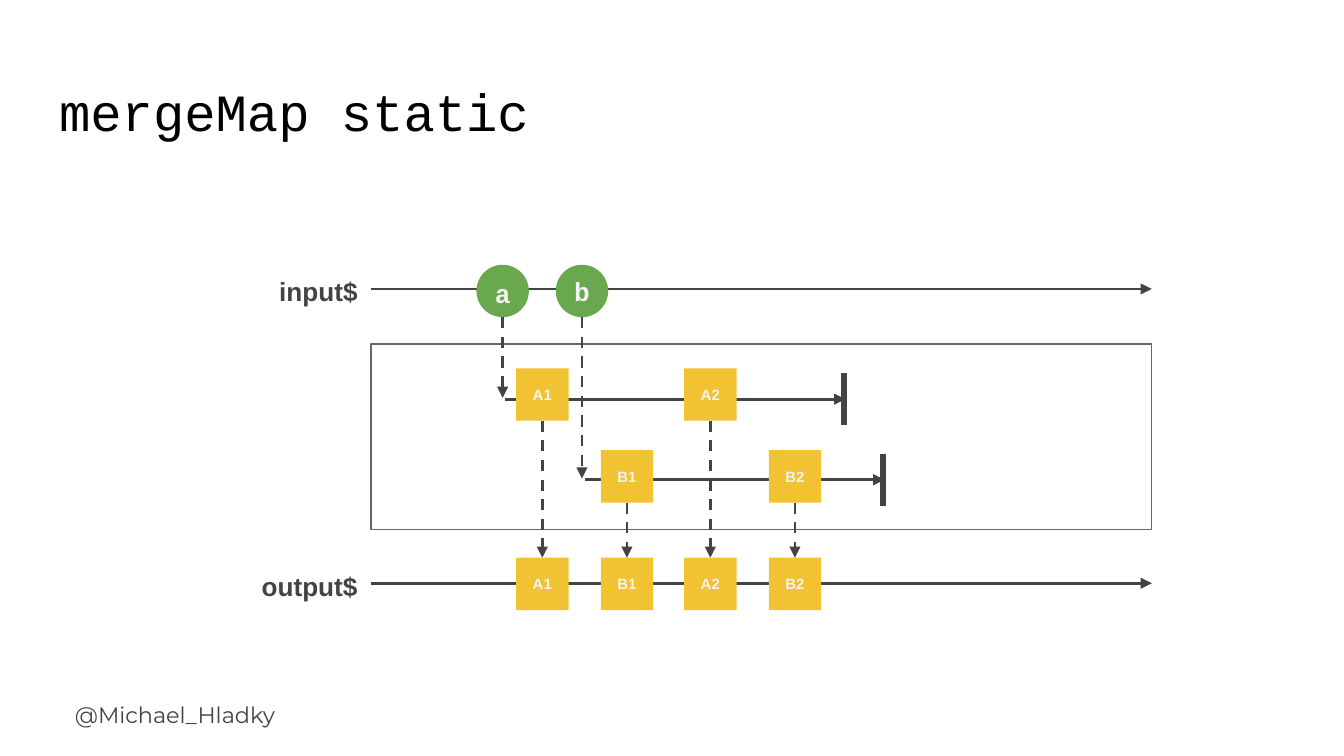
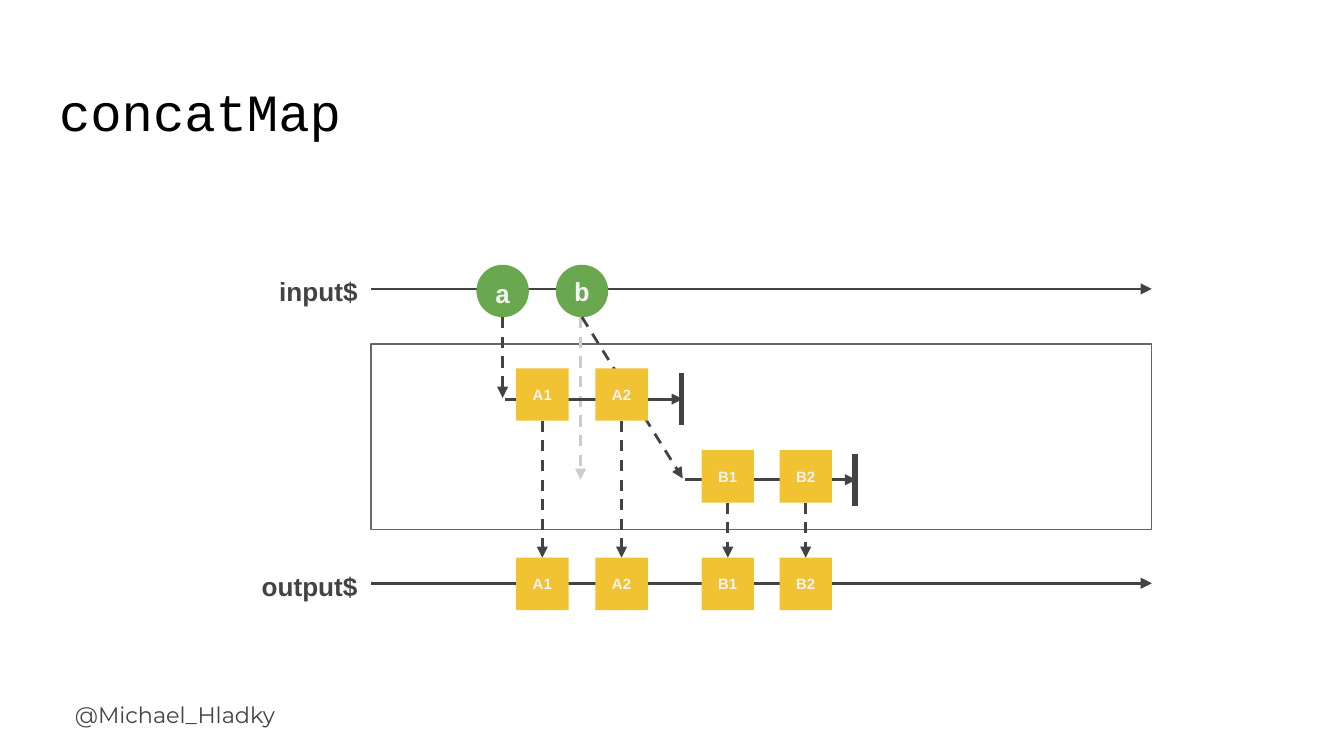
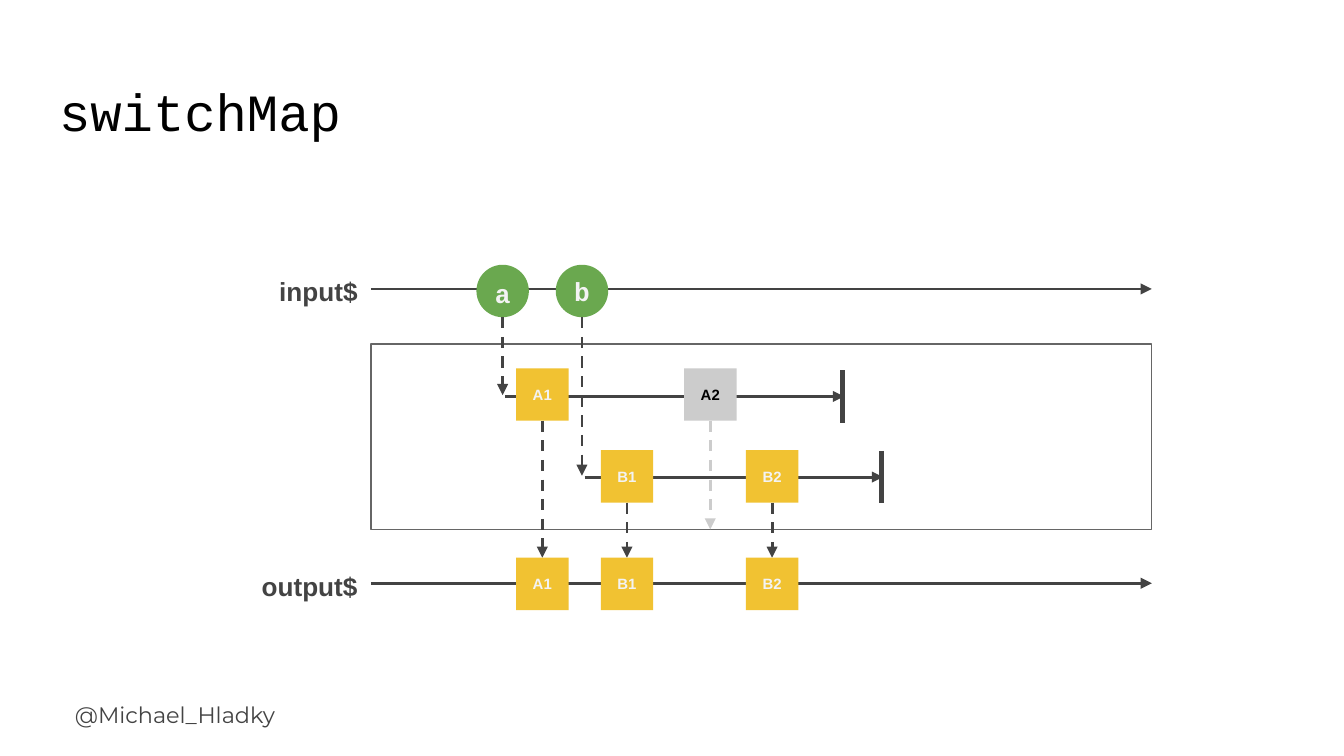
import dataclasses

import lxml.etree
import pptx
import pptx.dml.color
import pptx.enum.dml
import pptx.enum.shapes
import pptx.enum.text
import pptx.oxml.ns
import pptx.util

Inches = pptx.util.Inches
ALIGN = pptx.enum.text.PP_ALIGN
ANCHOR = pptx.enum.text.MSO_ANCHOR
SHAPE = pptx.enum.shapes.MSO_SHAPE
qn = pptx.oxml.ns.qn


@dataclasses.dataclass(frozen=True)
class Theme:
    paper: str = "FFFFFF"
    black: str = "000000"
    ink: str = "434343"
    frame: str = "666666"
    muted: str = "CCCCCC"
    emitter: str = "6AA84F"
    tile: str = "F1C232"
    light: str = "F3F3F3"
    code_font: str = "Courier New"
    label_font: str = "Arial"
    handle_font: str = "Montserrat"
    title_size: float = 28
    label_size: float = 14
    handle_size: float = 12
    tile_size: float = 8
    stroke: float = 1.5
    end_stroke: float = 3
    frame_stroke: float = 0.75


@dataclasses.dataclass(frozen=True)
class Box:
    left: float
    top: float
    width: float
    height: float

    def lengths(self):
        return [Inches(side) for side in dataclasses.astuple(self)]


@dataclasses.dataclass(frozen=True)
class Lane:
    source: float
    arrival: float
    end: float
    line_y: float
    tile_y: float
    tiles: tuple
    dropped: tuple = ()


THEME = Theme()
TITLE = Box(0.34, 0.49, 8.63, 0.63)
HANDLE = Box(0.46, 5.12, 2.24, 0.45)
DIAGRAM = Box(2.76, 1.97, 5.81, 2.58)

TILE = 0.39
INPUT_Y, OUTPUT_Y = 0.18, 2.37
OUTPUT_TILE_Y = 2.18
PANEL_Y, PANEL_HEIGHT = 0.59, 1.38
A_X, B_X = 0.98, 1.57
A_TILE_Y, B_TILE_Y = 0.77, 1.38

OPERATORS = (
    ("mergeMap static", (
        Lane(A_X, A_X, 3.53, 1.0, A_TILE_Y, (("A1", 1.08), ("A2", 2.33))),
        Lane(B_X, B_X, 3.82, 1.6, B_TILE_Y, (("B1", 1.71), ("B2", 2.96))),
    ), None),
    ("concatMap", (
        Lane(B_X, 2.32, 3.61, 1.6, B_TILE_Y, (("B1", 2.46), ("B2", 3.04))),
        Lane(A_X, A_X, 2.32, 1.0, A_TILE_Y, (("A1", 1.08), ("A2", 1.67))),
    ), B_X),
    ("switchMap", (
        Lane(A_X, A_X, 3.52, 0.98, A_TILE_Y, (("A1", 1.08), ("A2", 2.33)), ("A2",)),
        Lane(B_X, B_X, 3.81, 1.58, B_TILE_Y, (("B1", 1.71), ("B2", 2.79))),
    ), None),
)


def rgb(value):
    return pptx.dml.color.RGBColor.from_string(value)


def write(frame, text, *, size, font, color, bold=False, align=ALIGN.LEFT,
          anchor=ANCHOR.TOP, inset=0.1, spacing=None):
    frame.word_wrap = True
    frame.auto_size = pptx.enum.text.MSO_AUTO_SIZE.NONE
    frame.vertical_anchor = anchor
    frame.margin_left = frame.margin_right = Inches(inset)
    frame.margin_top = frame.margin_bottom = Inches(inset)
    paragraph = frame.paragraphs[0]
    paragraph.alignment = align
    paragraph.line_spacing = spacing
    run = paragraph.add_run()
    run.text = text
    run.font.size = pptx.util.Pt(size)
    run.font.name = font
    run.font.bold = bold
    run.font.color.rgb = rgb(color)


def draw_shape(slide, kind, box, fill, outline=None):
    shape = slide.shapes.add_shape(kind, *box.lengths())
    shape.shadow.inherit = False
    shape.fill.solid()
    shape.fill.fore_color.rgb = rgb(fill)
    if outline:
        shape.line.color.rgb = rgb(outline)
        shape.line.width = pptx.util.Pt(THEME.frame_stroke)
    else:
        shape.line.fill.background()
    return shape


def draw_line(slide, start, finish, color=THEME.ink, width=THEME.stroke,
              dashed=False, arrow=True):
    ends = [Inches(value) for value in (*start, *finish)]
    line = slide.shapes.add_connector(pptx.enum.shapes.MSO_CONNECTOR.STRAIGHT, *ends)
    line.line.color.rgb = rgb(color)
    line.line.width = pptx.util.Pt(width)
    if dashed:
        line.line.dash_style = pptx.enum.dml.MSO_LINE.DASH
    properties = line.element.spPr
    if arrow:
        outline = properties.find(qn("a:ln"))
        lxml.etree.SubElement(outline, qn("a:tailEnd"), type="triangle")
    lxml.etree.SubElement(properties, qn("a:effectLst"))
    return line


def draw_axis(slide, box, name, y, label_width):
    axis_y = box.top + y
    draw_line(slide, (box.left, axis_y), (box.left + box.width, axis_y))
    label_box = Box(box.left - label_width, axis_y - 0.25, label_width, 0.5)
    label = slide.shapes.add_textbox(*label_box.lengths())
    write(label.text_frame, name, size=THEME.label_size, font=THEME.label_font,
          color=THEME.ink, bold=True, align=ALIGN.RIGHT, anchor=ANCHOR.MIDDLE,
          spacing=1.15)


def draw_emitter(slide, box, name, x, spacing):
    circle_box = Box(box.left + x - TILE / 2, box.top, TILE, TILE)
    circle = draw_shape(slide, SHAPE.OVAL, circle_box, THEME.emitter)
    write(circle.text_frame, name, size=THEME.label_size, font=THEME.code_font,
          color=THEME.light, bold=True, align=ALIGN.CENTER, anchor=ANCHOR.MIDDLE,
          inset=0, spacing=spacing)


def draw_tile(slide, box, name, x, y, dropped=False):
    tile_box = Box(box.left + x, box.top + y, TILE, TILE)
    fill, color = (THEME.muted, THEME.black) if dropped else (THEME.tile, THEME.light)
    tile = draw_shape(slide, SHAPE.RECTANGLE, tile_box, fill)
    write(tile.text_frame, name, size=THEME.tile_size, font=THEME.label_font,
          color=color, bold=True, align=ALIGN.CENTER, anchor=ANCHOR.MIDDLE)
    return tile


def draw_emission(slide, box, lane, name, x):
    dropped = name in lane.dropped
    emitted = draw_tile(slide, box, name, x, lane.tile_y, dropped)
    center = box.left + x + TILE / 2
    start = (center, box.top + lane.tile_y + TILE)
    finish = (center, box.top + PANEL_Y + PANEL_HEIGHT)
    fall = draw_line(slide, start, finish, dashed=True,
                     color=THEME.muted if dropped else THEME.ink)
    fall.begin_connect(emitted, 2)
    if not dropped:
        fall.end_connect(draw_tile(slide, box, name, x, OUTPUT_TILE_Y), 0)


def draw_lane(slide, box, lane):
    line_y = box.top + lane.line_y
    arrival, end = box.left + lane.arrival, box.left + lane.end
    draw_line(slide, (box.left + lane.source, box.top + TILE),
              (arrival, line_y - 0.01), dashed=True)
    draw_line(slide, (arrival + 0.02, line_y), (end, line_y))
    draw_line(slide, (end - 0.01, line_y - TILE / 2), (end - 0.01, line_y + TILE / 2),
              width=THEME.end_stroke, arrow=False)
    for name, x in lane.tiles:
        draw_emission(slide, box, lane, name, x)


def draw_diagram(slide, box, lanes, waiting_x):
    panel = Box(box.left, box.top + PANEL_Y, box.width, PANEL_HEIGHT)
    draw_shape(slide, SHAPE.RECTANGLE, panel, THEME.paper, THEME.frame)
    draw_axis(slide, box, "output$", OUTPUT_Y, 2.39)
    draw_axis(slide, box, "input$", INPUT_Y, 2.52)
    draw_emitter(slide, box, "a", A_X, 1.15)
    draw_emitter(slide, box, "b", B_X, None)
    if waiting_x:
        x = box.left + waiting_x - 0.01
        draw_line(slide, (x, box.top + TILE), (x, box.top + 1.6),
                  color=THEME.muted, dashed=True)
    for lane in lanes:
        draw_lane(slide, box, lane)


def add_operator(deck, layout, name, lanes, waiting_x):
    slide = deck.slides.add_slide(layout)
    title = slide.shapes.title
    title.left, title.top, title.width, title.height = TITLE.lengths()
    write(title.text_frame, name, size=THEME.title_size, font=THEME.code_font,
          color=THEME.black)
    draw_diagram(slide, DIAGRAM, lanes, waiting_x)
    return slide


def share_handle(slide, layout):
    handle = slide.shapes.add_textbox(*HANDLE.lengths())
    write(handle.text_frame, "@Michael_Hladky", size=THEME.handle_size,
          font=THEME.handle_font, color=THEME.ink)
    layout.shapes.element.append(handle.element)


def main():
    deck = pptx.Presentation()
    deck.slide_width = Inches(10)
    deck.slide_height = deck.slide_width * 9 // 16
    layout = deck.slide_layouts.get_by_name("Title Only")
    slides = [add_operator(deck, layout, *operator) for operator in OPERATORS]
    share_handle(slides[0], layout)
    deck.save("out.pptx")


if __name__ == "__main__":
    main()
